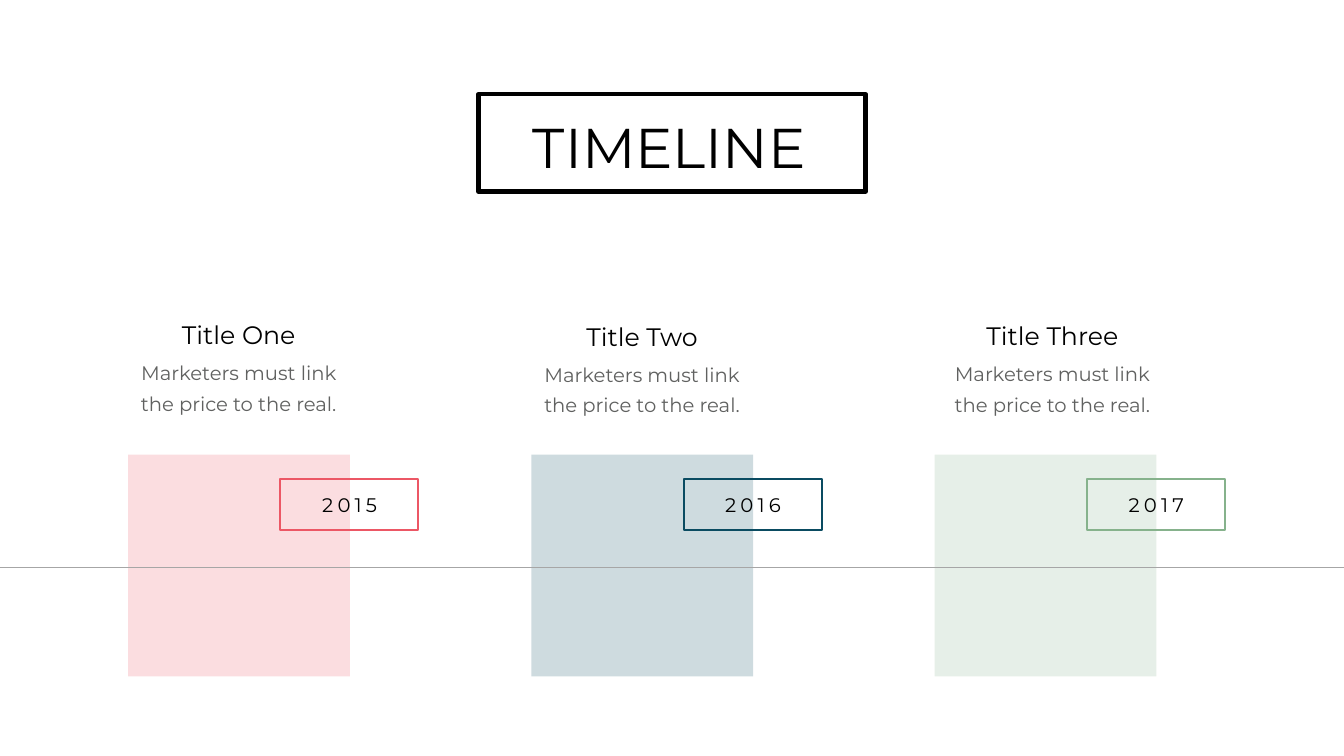
from lxml import etree
from pptx import Presentation
from pptx.dml.color import RGBColor
from pptx.enum.shapes import MSO_CONNECTOR, MSO_SHAPE
from pptx.enum.text import MSO_AUTO_SIZE, PP_ALIGN
from pptx.oxml.ns import qn
from pptx.util import Inches, Pt

RECT = MSO_SHAPE.RECTANGLE
LINE = MSO_CONNECTOR.STRAIGHT
CENTER = PP_ALIGN.CENTER
GROW = MSO_AUTO_SIZE.SHAPE_TO_FIT_TEXT

COLORS = {
    "white": "FFFFFF",
    "black": "000000",
    "gray": "606160",
    "rule": "A6A6A6",
    "red": "EC5765",
    "blue": "0A4B61",
    "green": "86B28C",
}
WIDTH, HEIGHT = 26.66, 15
LEFT, PITCH, SIDE = 2.54, 8, 4.4
BODY = "Marketers must link the price to the real."
STEPS = [
    ("red", "2015", "Title One", 2.51, 2.66, 6.29),
    ("blue", "2016", "Title Two", 2.5, 10.66, 6.32),
    ("green", "2017", "Title Three", 2.89, 18.8, 6.31),
]


class Deck:
    font = "Montserrat"

    def __init__(self):
        self.prs = Presentation()
        self.prs.slide_width = Inches(WIDTH)
        self.prs.slide_height = Inches(HEIGHT)
        self.slide = self.prs.slides.add_slide(self.prs.slide_layouts[6])
        self.shapes = self.slide.shapes
        fill = self.slide.background.fill
        fill.solid()
        fill.fore_color.rgb = self.color("white")

    def color(self, name):
        return RGBColor.from_string(COLORS[name])

    def group(self):
        return self.slide.shapes.add_group_shape().shapes

    def block(self, area, color, alpha):
        shape = self.shapes.add_shape(RECT, *map(Inches, area))
        shape.shadow.inherit = False
        shape.fill.solid()
        shape.fill.fore_color.rgb = self.color(color)
        tone = shape.fill._xPr.find(".//" + qn("a:srgbClr"))
        etree.SubElement(tone, qn("a:alpha"), val=str(alpha * 1000))
        shape.line.fill.background()

    def frame(self, area, color, width, home=None):
        shape = (home or self.shapes).add_shape(RECT, *map(Inches, area))
        shape.shadow.inherit = False
        shape.fill.background()
        shape.line.color.rgb = self.color(color)
        shape.line.width = Pt(width)

    def rule(self, top, color, width):
        ends = map(Inches, (0, top, WIDTH, top))
        line = self.shapes.add_connector(LINE, *ends)
        line.line.color.rgb = self.color(color)
        line.line.width = Pt(width)
        etree.SubElement(line._element.spPr, qn("a:effectLst"))

    def text(self, area, words, size, color="black", home=None,
             wrap=True, track=0, lead=None):
        box = (home or self.shapes).add_textbox(*map(Inches, area))
        frame = box.text_frame
        para = frame.paragraphs[0]
        run = para.add_run()
        run.text = words
        run.font.color.rgb = self.color(color)
        formats = [
            (frame, {"word_wrap": wrap, "auto_size": GROW}),
            (para, {"alignment": CENTER, "line_spacing": lead and Pt(lead)}),
            (run.font, {"name": self.font, "size": Pt(size)}),
        ]
        for part, values in formats:
            for key, value in values.items():
                setattr(part, key, value)
        if track:
            run.font._element.set("spc", str(track * 100))


def main():
    deck = Deck()
    lefts = [LEFT + PITCH * i for i in range(len(STEPS))]
    for left, step in zip(lefts, STEPS):
        deck.block((left, 9.02, SIDE, SIDE), step[0], 20)
    deck.rule(11.26, "rule", 0.5)
    for left, (color, year, *_) in zip(lefts, STEPS):
        deck.frame((left + 3.02, 9.5, 2.74, 1.01), color, 3)
        deck.text((left + 3.35, 9.74, 2.09, 0.57), year, 28, track=6)

    head = deck.group()
    deck.text((10.42, 2.19, 5.72, 1.45), "TIMELINE", 80, home=head)
    deck.frame((9.49, 1.87, 7.68, 1.93), "black", 6, head)

    wide = 4.15
    for _, _, title, width, left, top in STEPS:
        home = deck.group()
        inset = (wide - width) / 2
        deck.text((left + inset, top, width, 0.71), title, 36,
                  home=home, wrap=False)
        deck.text((left, top + 0.7, wide, 1.25), BODY, 28, "gray",
                  home, lead=43)
    deck.prs.save("out.pptx")


if __name__ == "__main__":
    main()
